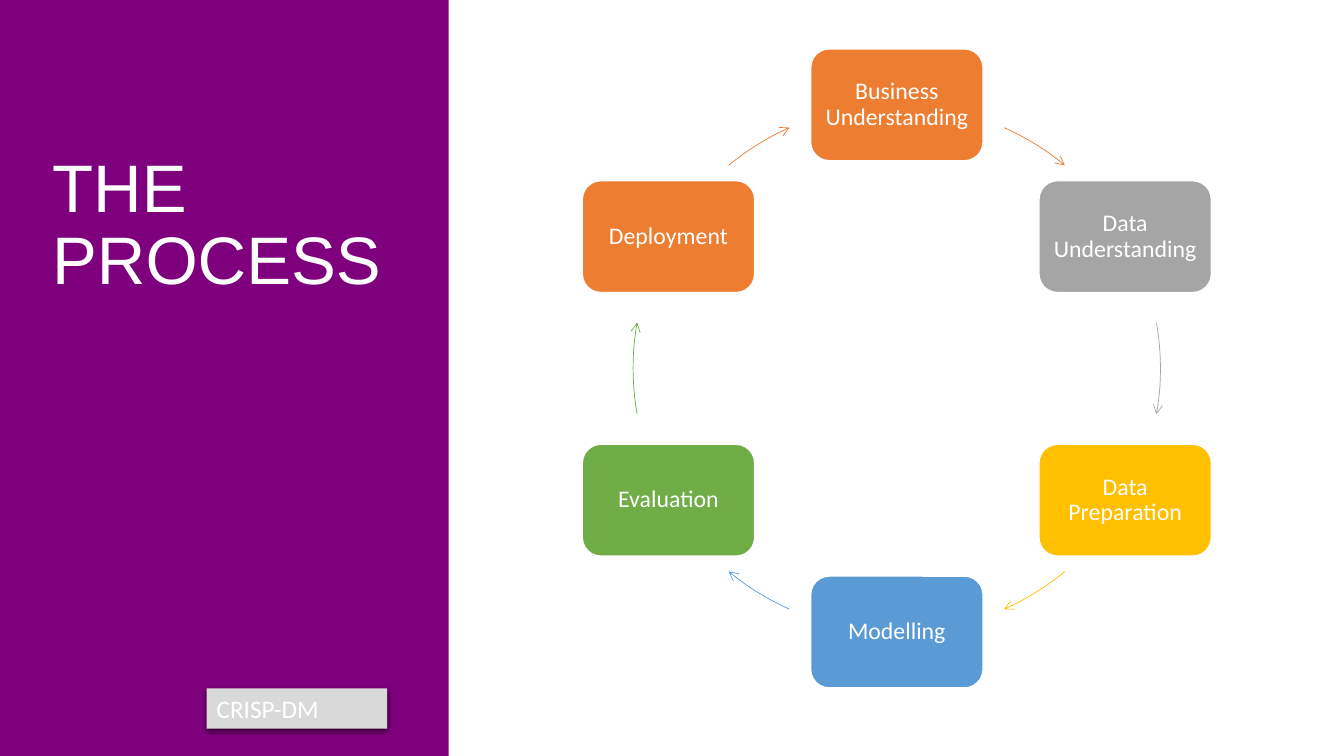
import math

from lxml import etree
from pptx import Presentation
from pptx.dml.color import RGBColor
from pptx.enum.shapes import MSO_SHAPE
from pptx.enum.text import MSO_ANCHOR, PP_ALIGN
from pptx.oxml.ns import qn
from pptx.util import Inches, Pt

RECT, ROUNDED = MSO_SHAPE.RECTANGLE, MSO_SHAPE.ROUNDED_RECTANGLE
TOP, MIDDLE = MSO_ANCHOR.TOP, MSO_ANCHOR.MIDDLE
LEFT, CENTER = PP_ALIGN.LEFT, PP_ALIGN.CENTER

# Content
TITLE = "THE PROCESS"
TAG = "CRISP-DM"
STEPS = [
    ("Business Understanding", "orange"),
    ("Data Understanding", "gray"),
    ("Data Preparation", "gold"),
    ("Modelling", "blue"),
    ("Evaluation", "green"),
    ("Deployment", "orange"),
]

THEME = {
    "white": "FFFFFF", "purple": "7F007D", "tag": "D9D9D9", "black": "000000",
    "orange": "ED7D31", "gray": "A5A5A5", "gold": "FFC000",
    "blue": "5B9BD5", "green": "70AD47",
    "title_font": "Arial", "body_font": "Calibri",
    "title_size": 48, "step_size": 17, "tag_size": 18,
}

# Cycle geometry, in inches; angles are degrees clockwise from the top
CYCLE_X, CYCLE_Y, DIAMETER = 6.28, 1.04, 5.23
RADIUS = DIAMETER / 2
STEP_W, STEP_H = 1.71, 1.11
ARROWS = [(24, 39.6), (80, 100), (140.4, 156)]  # the other half is 180 on
ANGLE_UNIT = 60000


def color(name):
    return RGBColor.from_string(THEME[name])


def add_text(sp, text, size, font="body_font", align=LEFT, anchor=MIDDLE,
             inset=0.1, spacing=None, before=0):
    tf = sp.text_frame
    tf.word_wrap = True
    tf.vertical_anchor = anchor
    tf.margin_left = tf.margin_right = Inches(inset)
    tf.margin_top = tf.margin_bottom = Inches(0.05)
    p = tf.paragraphs[0]
    p.alignment = align
    p.line_spacing = spacing
    p.space_before = Pt(before)
    r = p.add_run()
    r.text = text
    r.font.name = THEME[font]
    r.font.size = Pt(THEME[size])
    r.font.color.rgb = color("white")


def add_box(s, kind, x, y, w, h, fill, line=None):
    sp = s.shapes.add_shape(kind, Inches(x), Inches(y), Inches(w), Inches(h))
    sp.shadow.inherit = False
    sp.fill.solid()
    sp.fill.fore_color.rgb = color(fill)
    if line:
        sp.line.color.rgb = color(line)
        sp.line.width = Pt(1)
    else:
        sp.line.fill.background()
    return sp


def add_drop_shadow(sp):
    effects = sp._element.spPr.find(qn("a:effectLst"))
    shadow = etree.SubElement(
        effects, qn("a:outerShdw"), blurRad=str(Pt(4.5)), dist=str(Pt(1.5)),
        dir="5400000", algn="t", rotWithShape="0")
    shade = etree.SubElement(shadow, qn("a:srgbClr"), val=THEME["black"])
    etree.SubElement(shade, qn("a:alpha"), val="63000")


def on_circle(angle):
    """Offset from the top left of the cycle's bounding square."""
    a = math.radians(angle)
    return RADIUS * (1 + math.sin(a)), RADIUS * (1 - math.cos(a))


def add_arc_arrow(s, start, end, line):
    # The outline's frame is the square around the whole cycle
    side = Inches(DIAMETER)
    builder = s.shapes.build_freeform(0, 0)
    builder.add_line_segments([(side, side)], close=False)
    sp = builder.convert_to_shape(Inches(CYCLE_X), Inches(CYCLE_Y))

    # Inside it, one true arc
    outline = next(sp._element.iter(qn("a:path")))
    for segment in list(outline):
        outline.remove(segment)
    x, y = on_circle(start)
    move = etree.SubElement(outline, qn("a:moveTo"))
    etree.SubElement(move, qn("a:pt"), x=str(Inches(x)), y=str(Inches(y)))
    radius = str(Inches(RADIUS))
    etree.SubElement(outline, qn("a:arcTo"), wR=radius, hR=radius,
                     stAng=str(round((start - 90) % 360 * ANGLE_UNIT)),
                     swAng=str(round((end - start) * ANGLE_UNIT)))

    sp.shadow.inherit = False
    sp.fill.background()
    sp.line.color.rgb = color(line)
    sp.line.width = Pt(0.5)
    ln = sp._element.spPr.find(qn("a:ln"))
    etree.SubElement(ln, qn("a:tailEnd"), type="arrow")


def main():
    prs = Presentation()
    prs.slide_width, prs.slide_height = Inches(13.33), Inches(7.5)
    s = prs.slides.add_slide(prs.slide_layouts[6])

    # Side panel
    add_box(s, RECT, 0, 0, 4.45, 7.5, "purple")

    # Cycle of steps and the arrow after each
    for i, (name, fill) in enumerate(STEPS):
        x, y = on_circle(i * 360 / len(STEPS))
        sp = add_box(s, ROUNDED, CYCLE_X + x - STEP_W / 2,
                     CYCLE_Y + y - STEP_H / 2, STEP_W, STEP_H, fill,
                     line="white")
        add_text(sp, name, "step_size", align=CENTER, inset=0.07, spacing=0.9)
        half, k = divmod(i, len(ARROWS))
        start, end = ARROWS[k]
        add_arc_arrow(s, start + 180 * half, end + 180 * half, fill)

    # Tag
    tag = add_box(s, RECT, 2.05, 6.83, 1.79, 0.4, "tag")
    add_drop_shadow(tag)
    add_text(tag, TAG, "tag_size")

    # Title
    title = s.shapes.add_textbox(Inches(0.42), Inches(1.48),
                                 Inches(3.77), Inches(3.01))
    add_text(title, TITLE, "title_size", font="title_font", anchor=TOP,
             spacing=0.9, before=10)

    prs.save("out.pptx")


if __name__ == "__main__":
    main()
